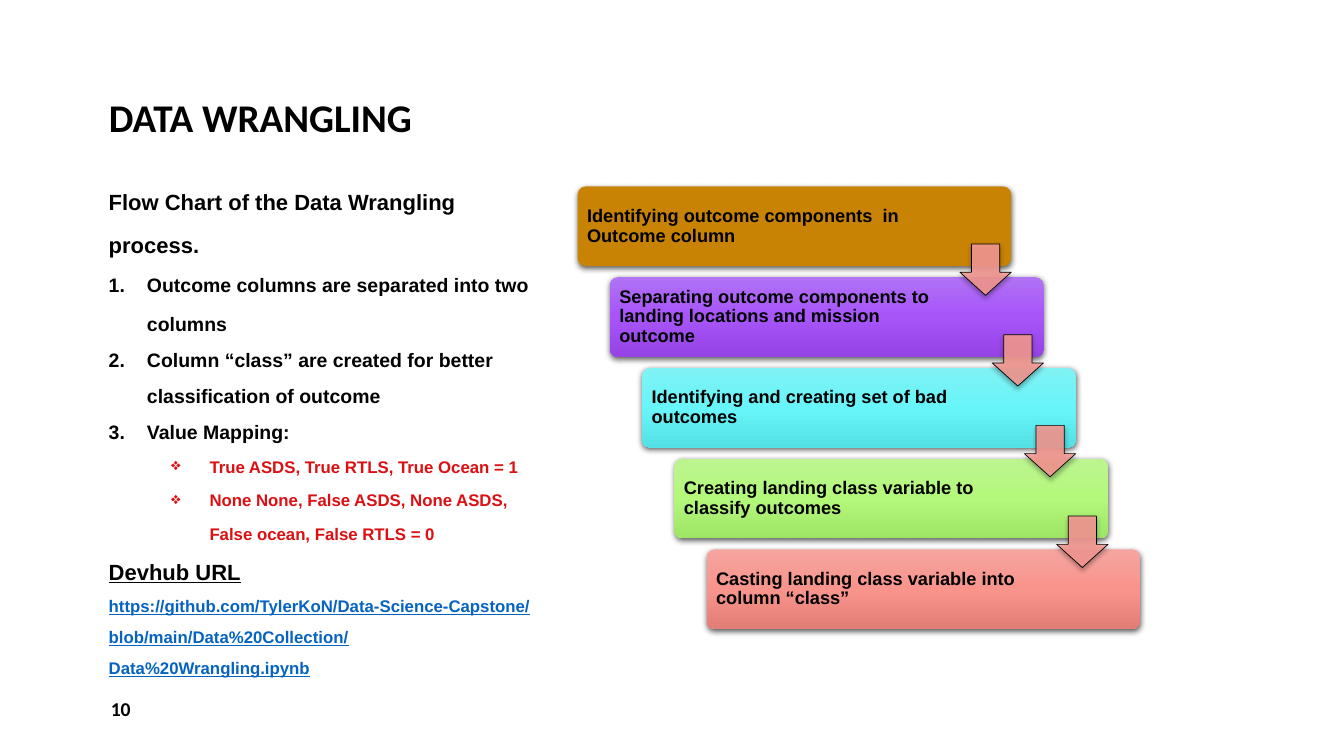
"""Build the data wrangling slide with its notes and flow chart."""
from dataclasses import dataclass

from lxml.etree import SubElement
from pptx import Presentation
from pptx.dml.color import RGBColor
from pptx.enum.shapes import MSO_SHAPE
from pptx.enum.text import MSO_ANCHOR, PP_ALIGN
from pptx.oxml.ns import qn
from pptx.util import Inches, Pt


@dataclass(frozen=True)
class Theme:
    """Fonts, colours and type sizes of the slide."""
    head: str = "Calibri"
    body: str = "Arial"
    ink: str = "000000"
    red: str = "DC1013"
    link: str = "0563C1"
    arrow: str = "F39891"
    steps: tuple = (
        ("C88305",),
        ("B172F5", "A754F9", "9543E5"),
        ("81F2F5", "67F5F9", "53E1E5"),
        ("BCF590", "B3F87A", "9EE465"),
        ("F6A5A0", "F8948C", "E37E76"),
    )
    title: float = 28
    lead: float = 15.7
    item: float = 13.9
    small: float = 12
    step: float = 13
    page: float = 14


THEME = Theme()

NUMBER = ("buAutoNum", {"type": "arabicPeriod"}, 0.38)
DIAMOND = ("buChar", {"char": "❖"}, 1)

NOTES = (
    ("Flow Chart of the Data Wrangling process.", THEME.lead, THEME.ink, 1.65, None, False),
    ("Outcome columns are separated into two columns", THEME.item, THEME.ink, 1.65, NUMBER, False),
    ("Column “class” are created for better classification of outcome",
     THEME.item, THEME.ink, 1.55, NUMBER, False),
    ("Value Mapping:", THEME.item, THEME.ink, 1.55, NUMBER, False),
    ("True ASDS, True RTLS, True Ocean = 1", THEME.small, THEME.red, 1.65, DIAMOND, False),
    ("None None, False ASDS, None ASDS, False ocean, False RTLS = 0",
     THEME.small, THEME.red, 1.65, DIAMOND, False),
    ("Devhub URL", THEME.lead, THEME.ink, 1.55, None, True),
    ("https://github.com/TylerKoN/Data-Science-Capstone/blob/main/"
     "Data%20Collection/Data%20Wrangling.ipynb", THEME.small, THEME.link, 1.55, None, True),
)

STEPS = (
    "Identifying outcome components  in Outcome column",
    "Separating outcome components to landing locations and mission outcome",
    "Identifying and creating set of bad outcomes",
    "Creating landing class variable to classify outcomes",
    "Casting landing class variable into column “class”",
)


def add_run(para, text, size, font=THEME.body, color=THEME.ink, line=None):
    """Add one bold run to a paragraph."""
    run = para.add_run()
    run.text = text
    run.font.name = font
    run.font.size = Pt(size)
    run.font.bold = True
    run.font.underline = line
    run.font.color.rgb = RGBColor.from_string(color)


def set_frame(frame, anchor):
    """Make a frame wrap and anchor its text, and return its first paragraph."""
    frame.word_wrap = True
    frame.vertical_anchor = anchor
    para = frame.paragraphs[0]
    para.alignment = PP_ALIGN.LEFT
    return para


def add_title(slide, text):
    """Place and fill the title."""
    title = slide.shapes.title
    title.left, title.top = Inches(0.98), Inches(0.27)
    title.width, title.height = Inches(9.07), Inches(1.18)
    para = set_frame(title.text_frame, MSO_ANCHOR.BOTTOM)
    para.line_spacing = 0.9
    add_run(para, text, THEME.title, THEME.head)


def add_mark(para, mark):
    """Give a paragraph a hanging bullet or number."""
    tag, attrs, left = mark
    props = para._p.get_or_add_pPr()
    props.set("marL", str(Inches(left)))
    props.set("indent", str(Inches(-0.38)))
    SubElement(props, qn("a:" + tag), attrs)


def add_notes(slide):
    """Add the column of notes on the left."""
    box = slide.shapes.add_textbox(Inches(0.98), Inches(1.65), Inches(4.5), Inches(4.98))
    para = set_frame(box.text_frame, MSO_ANCHOR.TOP)
    for order, (text, size, color, space, mark, line) in enumerate(NOTES):
        if order:
            para = box.text_frame.add_paragraph()
        if mark:
            add_mark(para, mark)
        para.line_spacing = space
        add_run(para, text, size, color=color, line=line)


def add_page(slide, text):
    """Add the page number."""
    box = slide.shapes.add_textbox(Inches(1), Inches(6.83), Inches(2.92), Inches(0.4))
    para = set_frame(box.text_frame, MSO_ANCHOR.MIDDLE)
    add_run(para, text, THEME.page, THEME.head)


def add_shade(shape, alpha, blur, dist):
    """Give a shape a soft shadow below it."""
    shape.shadow.inherit = False
    effects = shape._element.spPr.find(qn("a:effectLst"))
    outer = SubElement(effects, qn("a:outerShdw"), blurRad=str(Pt(blur)),
                       dist=str(Pt(dist)), dir="5400000", rotWithShape="0")
    color = SubElement(outer, qn("a:srgbClr"), val=THEME.ink)
    SubElement(color, qn("a:alpha"), val=str(alpha * 1000))


def set_fill(shape, colors):
    """Fill a shape with one colour or a downward gradient."""
    if len(colors) == 1:
        shape.fill.solid()
        shape.fill.fore_color.rgb = RGBColor.from_string(colors[0])
        return
    shape.fill.gradient()
    shape.fill.gradient_angle = 270
    stops = shape._element.spPr.find(".//" + qn("a:gsLst"))
    stops.clear()
    for order, color in enumerate(colors):
        stop = SubElement(stops, qn("a:gs"), pos=str(order * 50000))
        SubElement(stop, qn("a:srgbClr"), val=color)


def add_step(slide, order, text, colors):
    """Add one box of the flow chart."""
    box = slide.shapes.add_shape(
        MSO_SHAPE.ROUNDED_RECTANGLE, Inches(5.73 + 0.32 * order),
        Inches(1.85 + 0.9 * order), Inches(4.3), Inches(0.79))
    box.adjustments[0] = 0.1
    set_fill(box, colors)
    box.line.fill.background()
    add_shade(box, 63, 4.5, 1.5)
    frame = box.text_frame
    frame.margin_left, frame.margin_right = Inches(0.07), Inches(0.9)
    frame.margin_top = frame.margin_bottom = Inches(0.05)
    para = set_frame(frame, MSO_ANCHOR.MIDDLE)
    para.line_spacing = 0.9
    add_run(para, text, THEME.step)


def add_arrow(slide, order):
    """Add the arrow that leads from one box to the next."""
    arrow = slide.shapes.add_shape(
        MSO_SHAPE.DOWN_ARROW, Inches(9.52 + 0.32 * order),
        Inches(2.42 + 0.9 * order), Inches(0.51), Inches(0.51))
    arrow.adjustments[0], arrow.adjustments[1] = 0.55, 0.45
    set_fill(arrow, (THEME.arrow,))
    color = arrow._element.spPr.find(qn("a:solidFill")).find(qn("a:srgbClr"))
    SubElement(color, qn("a:alpha"), val="90000")
    arrow.line.color.rgb = RGBColor.from_string(THEME.ink)
    arrow.line.width = Pt(0.5)
    add_shade(arrow, 32, 3.5, 2.2)


def main():
    """Build and save the slide."""
    deck = Presentation()
    deck.slide_width, deck.slide_height = Inches(13.33), Inches(7.5)
    slide = deck.slides.add_slide(deck.slide_layouts[5])
    add_title(slide, "DATA WRANGLING")
    add_notes(slide)
    add_page(slide, "10")
    for order, (text, colors) in enumerate(zip(STEPS, THEME.steps)):
        add_step(slide, order, text, colors)
    for order in range(len(STEPS) - 1):
        add_arrow(slide, order)
    deck.save("out.pptx")


if __name__ == "__main__":
    main()
